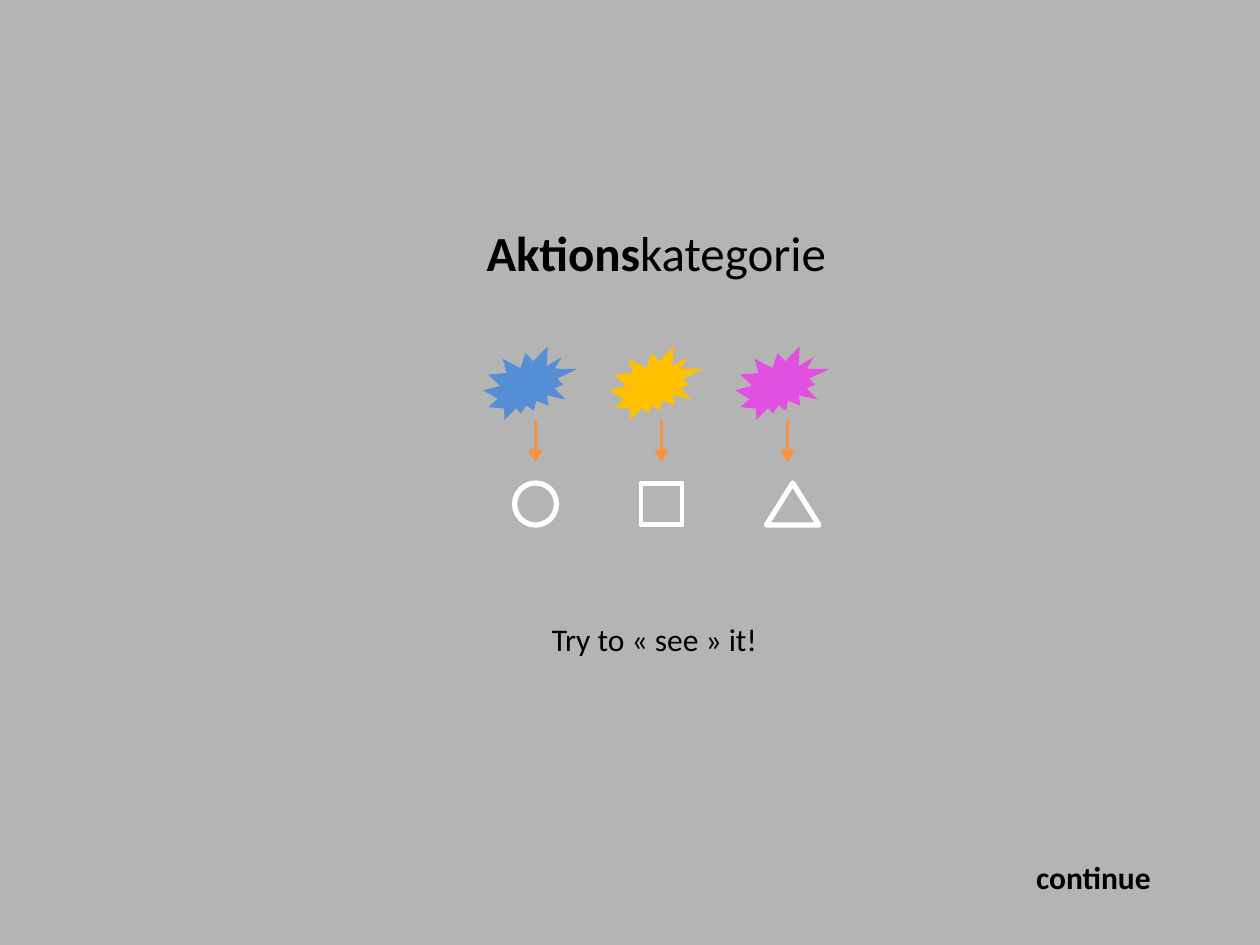
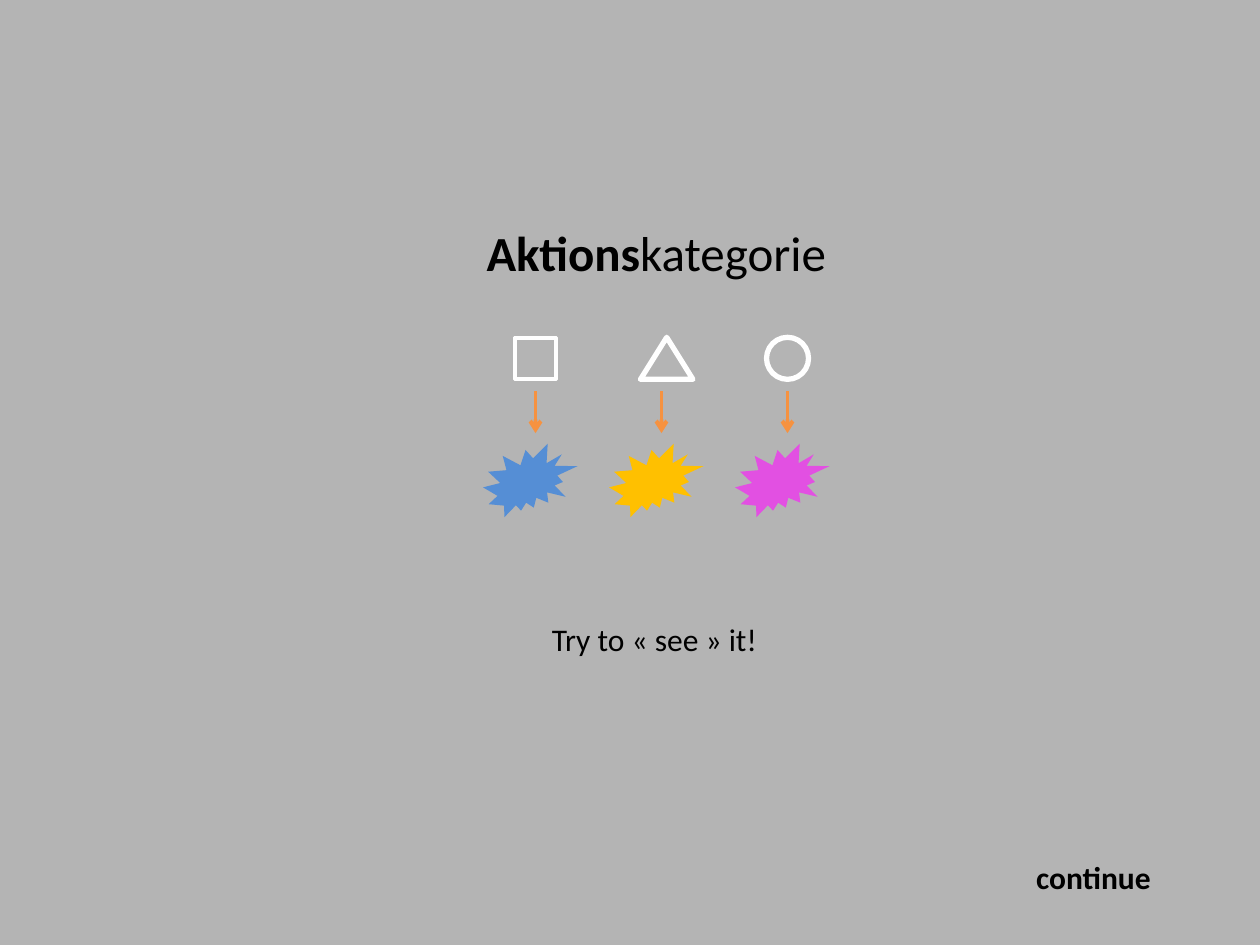
from typing import NamedTuple

from lxml.etree import SubElement
from pptx import Presentation
from pptx.dml.color import RGBColor
from pptx.enum.shapes import MSO_CONNECTOR, MSO_SHAPE as Preset
from pptx.enum.text import MSO_ANCHOR, MSO_AUTO_SIZE, PP_ALIGN
from pptx.oxml.ns import qn
from pptx.shapes.autoshape import Shape
from pptx.slide import Slide
from pptx.util import Emu, Pt

EMU_PER_PX = 9525
SLIDE_WIDTH, SLIDE_HEIGHT = 960, 720

GREY = RGBColor(0xB4, 0xB4, 0xB4)
BLACK = RGBColor(0x00, 0x00, 0x00)
WHITE = RGBColor(0xFF, 0xFF, 0xFF)
ORANGE = RGBColor(0xF6, 0x92, 0x40)
BLUE = RGBColor(0x55, 0x8E, 0xD5)
YELLOW = RGBColor(0xFF, 0xC0, 0x00)
PINK = RGBColor(0xE2, 0x50, 0xE2)

FONT = "Calibri"
TITLE_ONLY_LAYOUT = 5
COLUMN_LEFT, COLUMN_PITCH = 368, 96
BURST_COLORS = (BLUE, YELLOW, PINK)
BURST_WIDTH, BURST_HEIGHT = 72, 56
FIGURE_INDENT, FIGURE_HEIGHT = 24, 32
ARROW_INDENT, ARROW_LENGTH = 40, 32


class Box(NamedTuple):
    left: int
    top: int
    width: int
    height: int


class Figure(NamedTuple):
    preset: Preset
    width: int
    line_points: int


class Label(NamedTuple):
    text: str
    box: Box
    bold: bool


class Mapping(NamedTuple):
    """One slide: figure order by column, and the top of each row."""
    figures: tuple[Figure, ...]
    burst_top: int
    arrow_top: int
    figure_top: int


CIRCLE = Figure(Preset.OVAL, 32, 3)
SQUARE = Figure(Preset.FRAME, 32, 2)
TRIANGLE = Figure(Preset.ISOSCELES_TRIANGLE, 40, 3)

TITLE_BOX = Box(56, 48, 888, 171)
LABELS = (
    Label("continue", Box(780, 649, 108, 38), True),
    Label("Try to « see » it!", Box(411, 468, 178, 38), False),
)
MAPPINGS = (
    Mapping((CIRCLE, SQUARE, TRIANGLE), burst_top=264, arrow_top=320, figure_top=368),
    Mapping((SQUARE, TRIANGLE, CIRCLE), burst_top=338, arrow_top=298, figure_top=257),
)


def px(length: int) -> Emu:
    return Emu(length * EMU_PER_PX)


def format_run(run, size: int, bold: bool) -> None:
    run.font.name = FONT
    run.font.size = Pt(size)
    run.font.bold = bold
    run.font.color.rgb = BLACK


def add_title(slide: Slide) -> None:
    title = slide.shapes.title
    title.left, title.top, title.width, title.height = map(px, TITLE_BOX)
    frame = title.text_frame
    frame.auto_size = MSO_AUTO_SIZE.NONE
    frame.vertical_anchor = MSO_ANCHOR.BOTTOM
    paragraph = frame.paragraphs[0]
    paragraph.alignment = PP_ALIGN.CENTER
    for text, bold in (("Aktions", True), ("kategorie", False)):
        run = paragraph.add_run()
        run.text = text
        format_run(run, 28, bold)


def add_label(slide: Slide, label: Label) -> None:
    frame = slide.shapes.add_textbox(*map(px, label.box)).text_frame
    frame.word_wrap = False
    frame.auto_size = MSO_AUTO_SIZE.SHAPE_TO_FIT_TEXT
    frame.text = label.text
    format_run(frame.paragraphs[0].runs[0], 18, label.bold)


def add_preset(slide: Slide, preset: Preset, box: Box) -> Shape:
    shape = slide.shapes.add_shape(preset, *map(px, box))
    shape.shadow.inherit = False
    return shape


def add_burst(slide: Slide, left: int, top: int, color: RGBColor) -> None:
    burst = add_preset(slide, Preset.EXPLOSION2, Box(left, top, BURST_WIDTH, BURST_HEIGHT))
    burst.fill.solid()
    burst.fill.fore_color.rgb = color
    burst.line.fill.background()


def add_figure(slide: Slide, left: int, top: int, figure: Figure) -> None:
    shape = add_preset(slide, figure.preset, Box(left, top, figure.width, FIGURE_HEIGHT))
    shape.fill.background()
    shape.line.color.rgb = WHITE
    shape.line.width = Pt(figure.line_points)
    if figure.preset == Preset.FRAME:
        shape.adjustments[0] = 0.02


def add_down_arrow(slide: Slide, x: int, top: int) -> None:
    arrow = slide.shapes.add_connector(
        MSO_CONNECTOR.STRAIGHT, px(x), px(top), px(x), px(top + ARROW_LENGTH))
    arrow.line.color.rgb = ORANGE
    arrow.line.width = Pt(2.25)
    SubElement(arrow.line._get_or_add_ln(), qn("a:tailEnd"), type="arrow")
    SubElement(arrow._element.spPr, qn("a:effectLst"))


def add_mapping_slide(presentation, mapping: Mapping) -> None:
    slide = presentation.slides.add_slide(presentation.slide_layouts[TITLE_ONLY_LAYOUT])
    add_title(slide)
    for column, (color, figure) in enumerate(zip(BURST_COLORS, mapping.figures)):
        left = COLUMN_LEFT + column * COLUMN_PITCH
        add_burst(slide, left, mapping.burst_top, color)
        add_down_arrow(slide, left + ARROW_INDENT, mapping.arrow_top)
        add_figure(slide, left + FIGURE_INDENT, mapping.figure_top, figure)
    for label in LABELS:
        add_label(slide, label)


def main() -> None:
    presentation = Presentation()
    presentation.slide_width = px(SLIDE_WIDTH)
    presentation.slide_height = px(SLIDE_HEIGHT)
    background = presentation.slide_master.background.fill
    background.solid()
    background.fore_color.rgb = GREY
    for mapping in MAPPINGS:
        add_mapping_slide(presentation, mapping)
    presentation.save("out.pptx")


if __name__ == "__main__":
    main()
